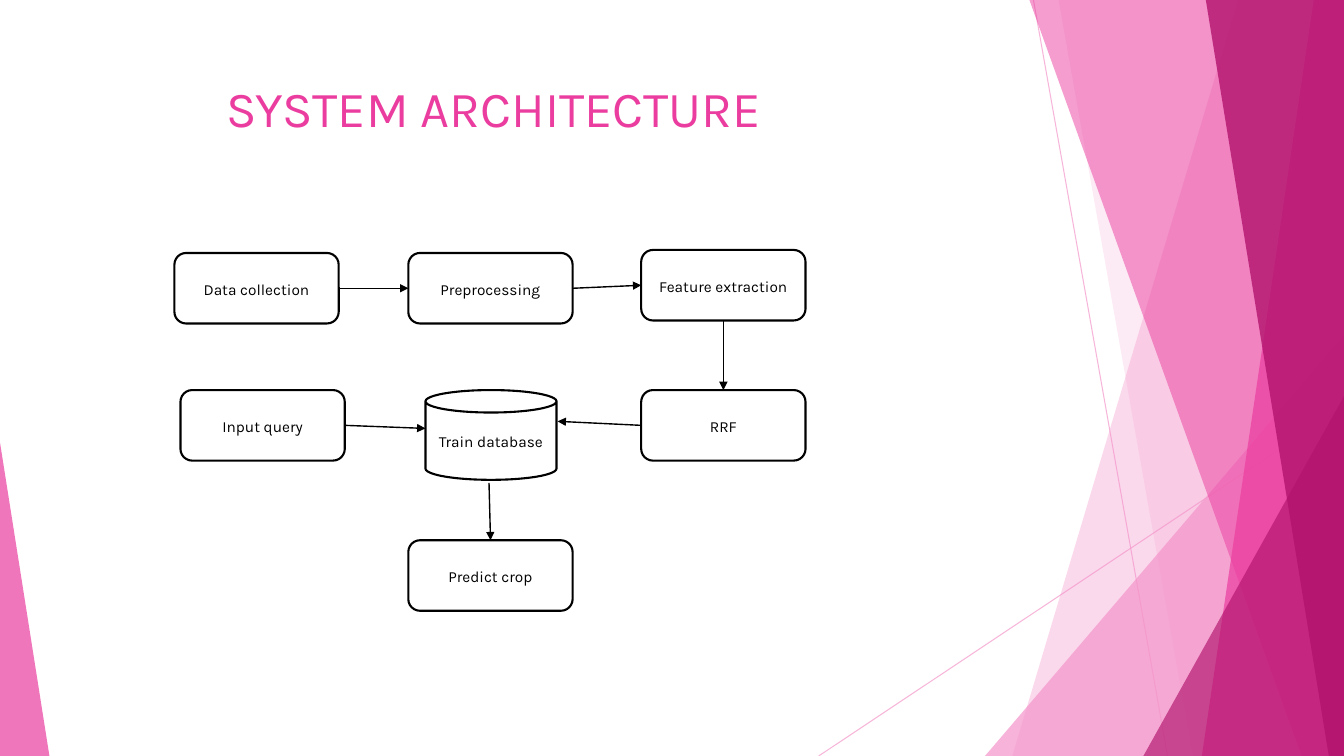
from dataclasses import dataclass

from lxml import etree
from pptx import Presentation
from pptx.dml.color import RGBColor
from pptx.enum.shapes import MSO_CONNECTOR, MSO_SHAPE
from pptx.enum.text import MSO_ANCHOR, PP_ALIGN
from pptx.oxml.ns import qn
from pptx.util import Inches, Pt

STRAIGHT = MSO_CONNECTOR.STRAIGHT
ROUNDED = MSO_SHAPE.ROUNDED_RECTANGLE
CAN = MSO_SHAPE.CAN
TRIANGLE = MSO_SHAPE.ISOSCELES_TRIANGLE
CENTER = PP_ALIGN.CENTER
LEFT_ALIGNED = PP_ALIGN.LEFT
MIDDLE = MSO_ANCHOR.MIDDLE
TOP_ANCHOR = MSO_ANCHOR.TOP
TOP, LEFT, BOTTOM, RIGHT = range(4)

SLIDE_WIDTH, SLIDE_HEIGHT = 13.33, 7.5
BOX_WIDTH, BOX_HEIGHT = 1.63, 0.7

Point = tuple[float, float]


@dataclass(frozen=True)
class Theme:
    font: str = "Karla"
    title_size: float = 36
    label_size: float = 11
    outline_width: float = 1.5
    arrow_width: float = 1
    ray_width: float = 0.75
    black: str = "000000"
    white: str = "FFFFFF"
    light_pink: str = "F496CB"
    pink: str = "EB3D9F"
    magenta: str = "B2136D"


THEME = Theme()


@dataclass(frozen=True)
class Ray:
    start: Point
    end: Point


@dataclass(frozen=True)
class Band:
    """Panel from a slanted left edge to the right edge of the slide."""
    top_x: float
    bottom_x: float
    color: str
    opacity: int


@dataclass(frozen=True)
class Wedge:
    left: float
    top: float
    width: float
    apex: float
    color: str
    opacity: int


@dataclass(frozen=True)
class Node:
    label: str
    left: float
    top: float
    width: float = BOX_WIDTH
    height: float = BOX_HEIGHT
    kind: int = ROUNDED


@dataclass(frozen=True)
class Arrow:
    """Each end is a point, or a node label with a side to join."""
    start: Point | tuple[str, int]
    end: Point | tuple[str, int]


RAYS = [Ray((10.25, 0), (11.58, 7.5)), Ray((13.33, 4.03), (8.12, 7.5))]
BACKDROP = [
    Band(12.28, 10.04, THEME.light_pink, 36),
    Band(10.5, 11.83, THEME.light_pink, 20),
    Wedge(9.77, 3.33, 3.56, 1, THEME.light_pink, 72),
    Band(10.21, 12.91, THEME.pink, 50),
    Band(13.03, 11.92, THEME.pink, 70),
    Band(11.96, 13.18, THEME.magenta, 80),
    Wedge(11.34, 3.93, 1.99, 1, THEME.magenta, 66),
    Wedge(0, 4.39, 0.49, 0, THEME.pink, 70),
]
NODES = [
    Node("Data collection", 1.73, 2.51),
    Node("Preprocessing", 4.05, 2.51),
    Node("Feature extraction", 6.36, 2.48),
    Node("RRF", 6.36, 3.87),
    Node("Input query", 1.79, 3.87),
    Node("Train database", 4.22, 3.87, 1.3, 0.89, CAN),
    Node("Predict crop", 4.05, 5.36),
]
ARROWS = [
    Arrow(("Data collection", RIGHT), ("Preprocessing", LEFT)),
    Arrow(("Preprocessing", RIGHT), ("Feature extraction", LEFT)),
    Arrow(("Feature extraction", BOTTOM), ("RRF", TOP)),
    Arrow(("RRF", LEFT), (5.53, 4.18)),
    Arrow(("Input query", RIGHT), (4.22, 4.25)),
    Arrow((4.85, 4.79), ("Predict crop", TOP)),
]


def set_opacity(fill, color: str, percent: int) -> None:
    fill.solid()
    fill.fore_color.rgb = RGBColor.from_string(color)
    # The public API has no transparency setting
    color_element = fill._xPr.find(qn("a:solidFill"))[0]
    etree.SubElement(color_element, qn("a:alpha"), val=str(percent * 1000))


def add_text(paragraph, text: str, size: float, color: str) -> None:
    run = paragraph.add_run()
    run.text = text
    run.font.name = THEME.font
    run.font.size = Pt(size)
    run.font.color.rgb = RGBColor.from_string(color)


def add_line(slide, start: Point, end: Point, color: str, width: float):
    line = slide.shapes.add_connector(STRAIGHT, *map(Inches, start + end))
    line.line.color.rgb = RGBColor.from_string(color)
    line.line.width = Pt(width)
    etree.SubElement(line._element.spPr, qn("a:effectLst"))
    return line


def draw_ray(slide, ray: Ray) -> None:
    line = add_line(slide, ray.start, ray.end, THEME.light_pink, THEME.ray_width)
    set_opacity(line.line.fill, THEME.light_pink, 70)


def draw_backdrop(slide, part: Band | Wedge) -> None:
    if isinstance(part, Band):
        builder = slide.shapes.build_freeform(Inches(part.top_x), 0, 1.0)
        corners = [(SLIDE_WIDTH, 0), (SLIDE_WIDTH, SLIDE_HEIGHT), (part.bottom_x, SLIDE_HEIGHT)]
        builder.add_line_segments([(Inches(x), Inches(y)) for x, y in corners], close=True)
        shape = builder.convert_to_shape()
    else:
        box = (part.left, part.top, part.width, SLIDE_HEIGHT - part.top)
        shape = slide.shapes.add_shape(TRIANGLE, *map(Inches, box))
        shape.adjustments[0] = part.apex
    shape.shadow.inherit = False
    shape.line.fill.background()
    set_opacity(shape.fill, part.color, part.opacity)


def draw_title(slide, text: str) -> None:
    title = slide.shapes.title
    title.left, title.top, title.width, title.height = map(Inches, (0.74, 0.67, 9.4, 0.9))
    frame = title.text_frame
    frame.vertical_anchor = TOP_ANCHOR
    frame.margin_left, frame.margin_top = Inches(1.51), Inches(0.09)
    frame.paragraphs[0].alignment = LEFT_ALIGNED
    add_text(frame.paragraphs[0], text, THEME.title_size, THEME.pink)


def draw_node(slide, node: Node):
    box = (node.left, node.top, node.width, node.height)
    shape = slide.shapes.add_shape(node.kind, *map(Inches, box))
    shape.shadow.inherit = False
    shape.fill.solid()
    shape.fill.fore_color.rgb = RGBColor.from_string(THEME.white)
    shape.line.color.rgb = RGBColor.from_string(THEME.black)
    shape.line.width = Pt(THEME.outline_width)
    shape.text_frame.word_wrap = True
    shape.text_frame.vertical_anchor = MIDDLE
    paragraph = shape.text_frame.paragraphs[0]
    paragraph.alignment = CENTER
    paragraph.line_spacing = 1.07
    paragraph.space_after = Pt(8)
    add_text(paragraph, node.label, THEME.label_size, THEME.black)
    return shape


def draw_arrow(slide, arrow: Arrow, shapes: dict) -> None:
    joins = [end[0] in shapes for end in (arrow.start, arrow.end)]
    start = (0, 0) if joins[0] else arrow.start
    end = (0, 0) if joins[1] else arrow.end
    line = add_line(slide, start, end, THEME.black, THEME.arrow_width)
    if joins[0]:
        line.begin_connect(shapes[arrow.start[0]], arrow.start[1])
    if joins[1]:
        line.end_connect(shapes[arrow.end[0]], arrow.end[1])
    etree.SubElement(line.line._get_or_add_ln(), qn("a:tailEnd"), type="triangle")


def main() -> None:
    presentation = Presentation()
    presentation.slide_width = Inches(SLIDE_WIDTH)
    presentation.slide_height = Inches(SLIDE_HEIGHT)
    slide = presentation.slides.add_slide(presentation.slide_layouts.get_by_name("Title Only"))
    # Decorative backdrop
    for ray in RAYS:
        draw_ray(slide, ray)
    for part in BACKDROP:
        draw_backdrop(slide, part)
    # Title and flow diagram
    draw_title(slide, "SYSTEM ARCHITECTURE")
    shapes = {node.label: draw_node(slide, node) for node in NODES}
    for arrow in ARROWS:
        draw_arrow(slide, arrow, shapes)
    presentation.save("out.pptx")


if __name__ == "__main__":
    main()
